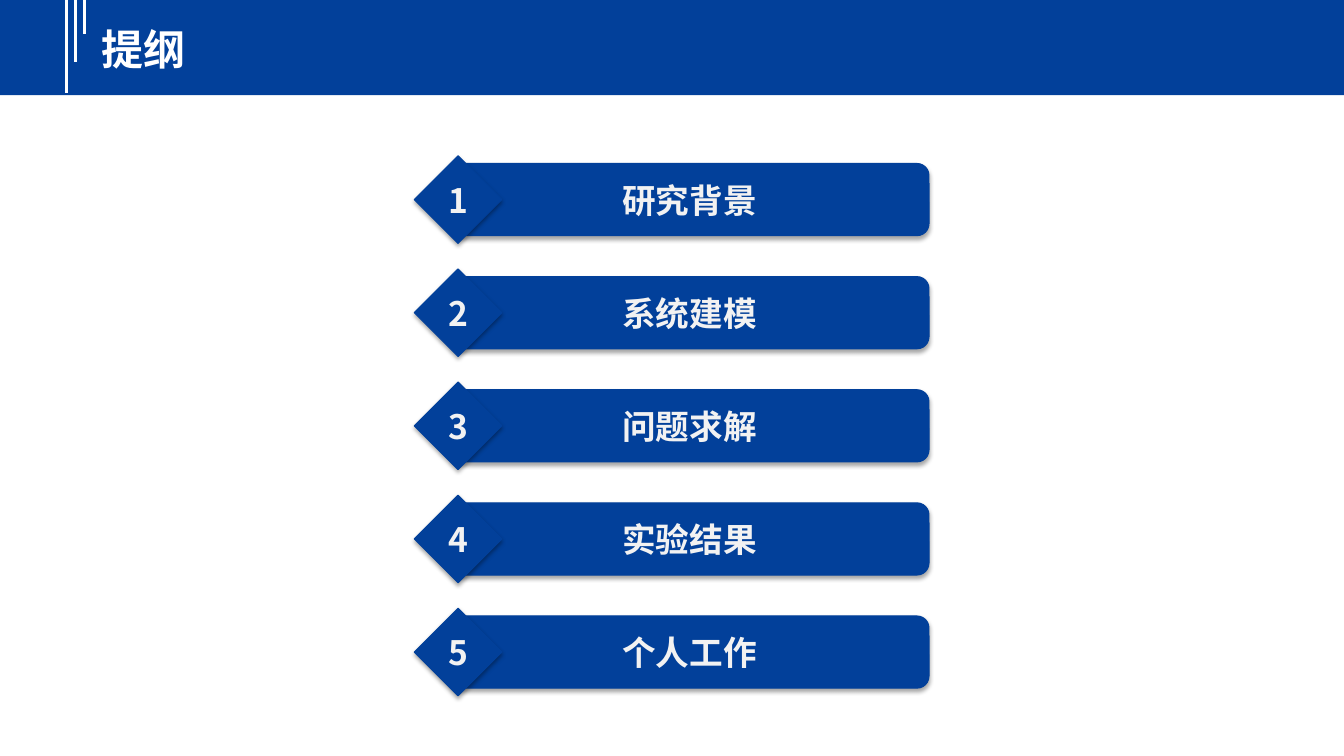
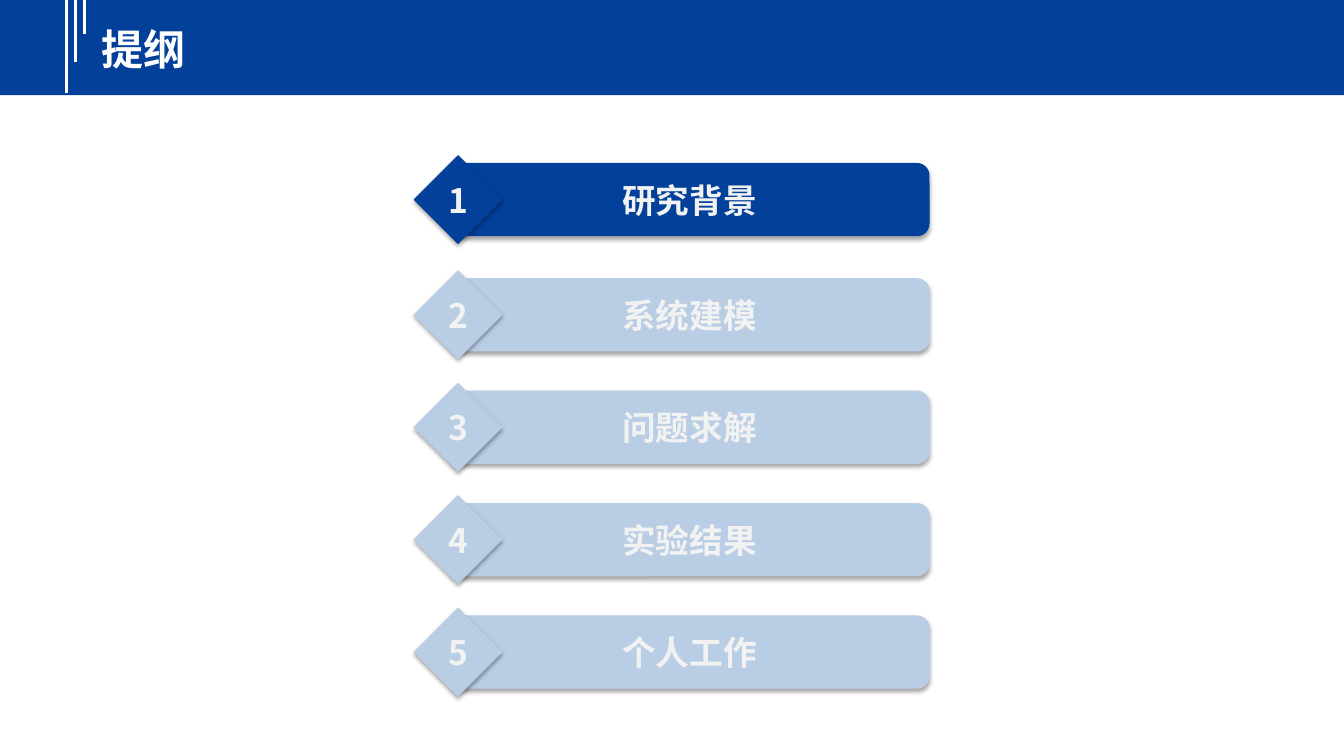
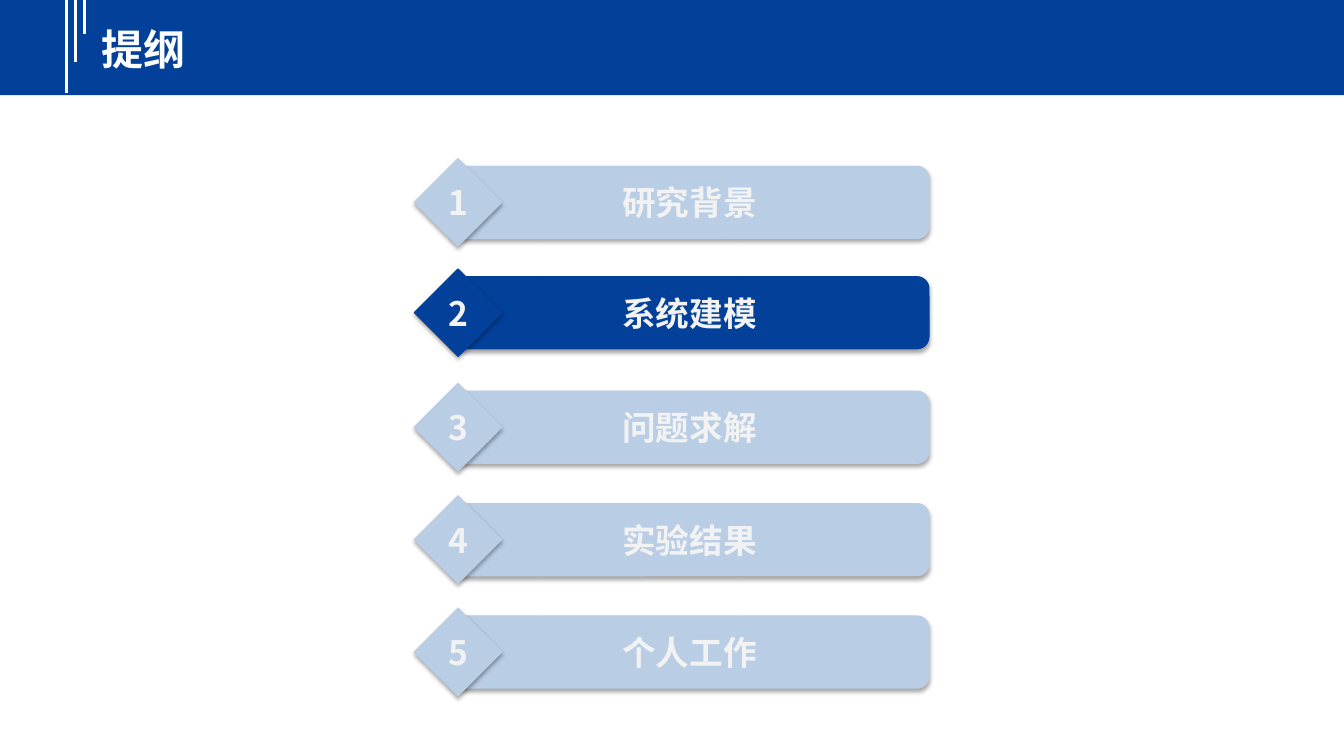
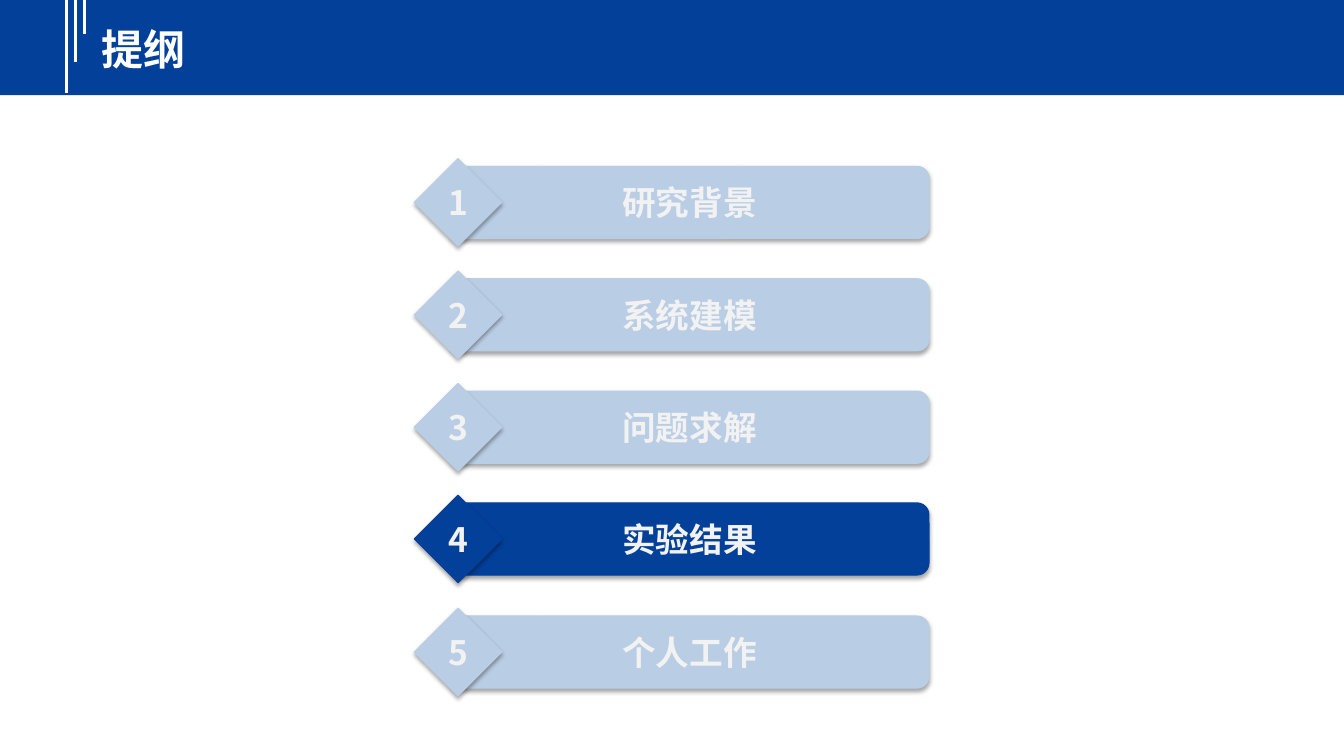
"""Builds four outline slides, one full and three with a single highlighted section."""
import pptx
import pptx.dml.color
import pptx.enum.shapes
import pptx.enum.text
import pptx.oxml
import pptx.oxml.ns
import pptx.util

Pt = pptx.util.Pt
RGBColor = pptx.dml.color.RGBColor
SHAPE = pptx.enum.shapes.MSO_SHAPE
ALIGN = pptx.enum.text.PP_ALIGN
ANCHOR = pptx.enum.text.MSO_ANCHOR
qn = pptx.oxml.ns.qn

TITLE = "提纲"
SECTIONS = ["研究背景", "系统建模", "问题求解", "实验结果", "个人工作"]
HIGHLIGHTS = [{1, 2, 3, 4, 5}, {1}, {2}, {4}]

BLUE = RGBColor(0x02, 0x40, 0x9A)
PALE_BLUE = RGBColor(0xB9, 0xCD, 0xE5)
WHITE = RGBColor(0xFF, 0xFF, 0xFF)
LIGHT_GRAY = RGBColor(0xF2, 0xF2, 0xF2)
CJK_FONT = "Noto Sans CJK SC"
LATIN_FONT = "Calibri"

PAGE_WIDTH, PAGE_HEIGHT = 960, 540
BAND_HEIGHT = 67.9
STRIPE_LEFT, STRIPE_STEP = 47.5, 6.5
STRIPE_LENGTHS = [66.4, 44, 24]
BAR_LEFT, BAR_WIDTH, BAR_HEIGHT = 321.6, 342, 51.6
DIAMOND_LEFT, DIAMOND_SIZE = 295.9, 62.6
LAST_BAR_TOP = 440
BRIGHT_STEP, PALE_STEP = 80.8, 80.3

SHADOW = (
    f'<a:outerShdw {pptx.oxml.ns.nsdecls("a")} blurRad="{Pt(3.1)}" dist="{Pt(1.8)}" '
    'dir="5400000" rotWithShape="0"><a:srgbClr val="000000"><a:alpha val="35000"/>'
    "</a:srgbClr></a:outerShdw>"
)


def write(shape, text, size, color, font_name):
    para = shape.text_frame.paragraphs[0]
    para.text = text
    font = para.font
    font.size, font.bold, font.name = Pt(size), True, font_name
    font.color.rgb = color
    east_asian = pptx.oxml.parse_xml(
        f'<a:ea {pptx.oxml.ns.nsdecls("a")} typeface="{CJK_FONT}"/>')
    para._p.pPr.find(qn("a:defRPr")).append(east_asian)
    return para


def add_header(page):
    band = page.shapes.add_shape(SHAPE.RECTANGLE, 0, 0, Pt(PAGE_WIDTH), Pt(BAND_HEIGHT))
    band.shadow.inherit = False
    band.fill.solid()
    band.fill.fore_color.rgb = BLUE
    band.line.fill.background()
    for index, length in enumerate(STRIPE_LENGTHS):
        x = Pt(STRIPE_LEFT + index * STRIPE_STEP)
        stripe = page.shapes.add_connector(
            pptx.enum.shapes.MSO_CONNECTOR.STRAIGHT, x, 0, x, Pt(length))
        stripe.line.color.rgb = WHITE
        stripe.line.width = Pt(2.25)
        stripe._element.spPr.append(pptx.oxml.parse_xml(
            f'<a:effectLst {pptx.oxml.ns.nsdecls("a")}/>'))
    box = page.shapes.add_textbox(Pt(65.5), Pt(13.5), Pt(875.5), Pt(43.6))
    box.text_frame.word_wrap = True
    write(box, TITLE, 30, WHITE, CJK_FONT)


def add_tile(group, kind, left, top, width, height, color, text, font_name):
    tile = group.shapes.add_shape(kind, Pt(left), Pt(top), Pt(width), Pt(height))
    tile.fill.solid()
    tile.fill.fore_color.rgb = color
    tile.line.color.rgb = color
    tile.line.width = Pt(0.75)
    tile.shadow.inherit = False
    tile._element.spPr.find(qn("a:effectLst")).append(pptx.oxml.parse_xml(SHADOW))
    tile.text_frame.word_wrap = False
    tile.text_frame.vertical_anchor = ANCHOR.MIDDLE
    write(tile, text, 24, LIGHT_GRAY, font_name).alignment = ALIGN.CENTER


def add_section(page, number, name, bright):
    color, step = (BLUE, BRIGHT_STEP) if bright else (PALE_BLUE, PALE_STEP)
    top = LAST_BAR_TOP - (len(SECTIONS) - number) * step
    diamond_top = top + (BAR_HEIGHT - DIAMOND_SIZE) / 2
    group = page.shapes.add_group_shape()
    add_tile(group, SHAPE.ROUNDED_RECTANGLE, BAR_LEFT, top, BAR_WIDTH, BAR_HEIGHT,
             color, name, LATIN_FONT)
    add_tile(group, SHAPE.DIAMOND, DIAMOND_LEFT, diamond_top, DIAMOND_SIZE, DIAMOND_SIZE,
             color, str(number), CJK_FONT)


def main():
    deck = pptx.Presentation()
    deck.slide_width, deck.slide_height = Pt(PAGE_WIDTH), Pt(PAGE_HEIGHT)
    for highlighted in HIGHLIGHTS:
        page = deck.slides.add_slide(deck.slide_layouts[6])
        add_header(page)
        for number, name in enumerate(SECTIONS, 1):
            add_section(page, number, name, number in highlighted)
    deck.save("out.pptx")


if __name__ == "__main__":
    main()
